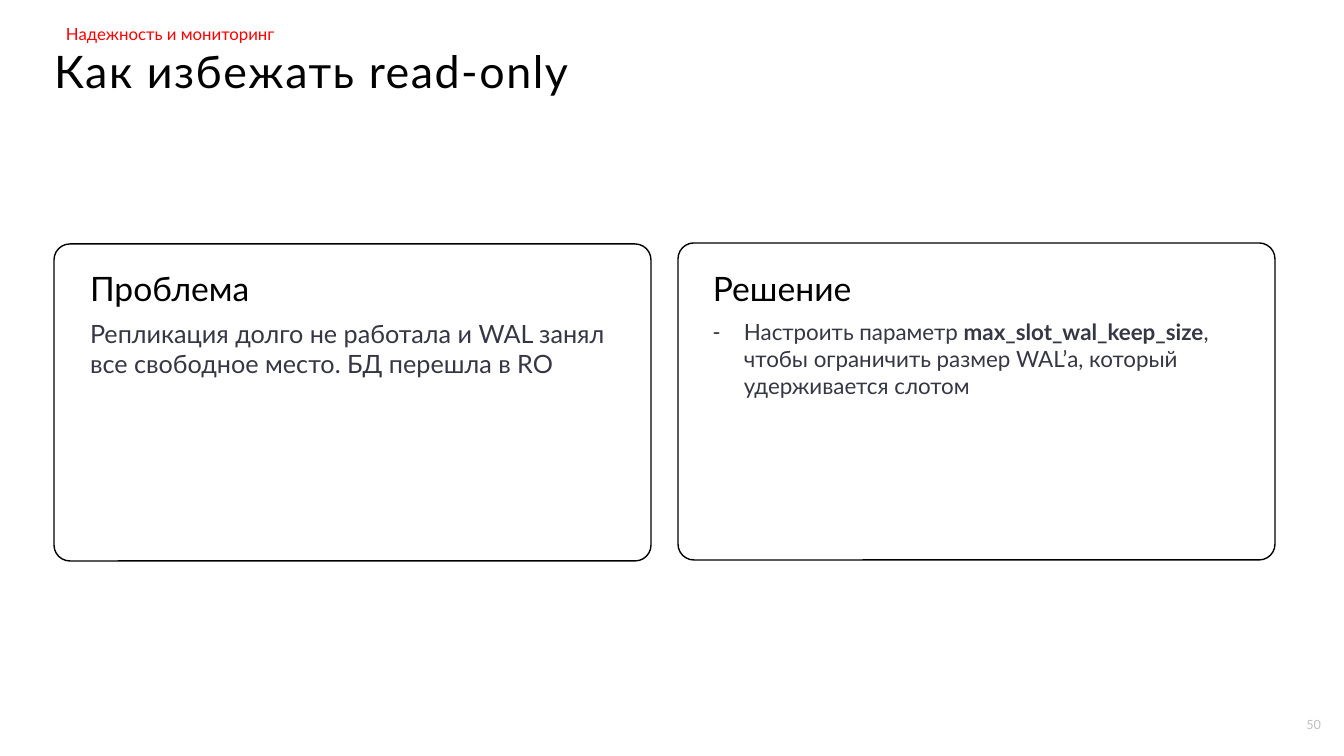
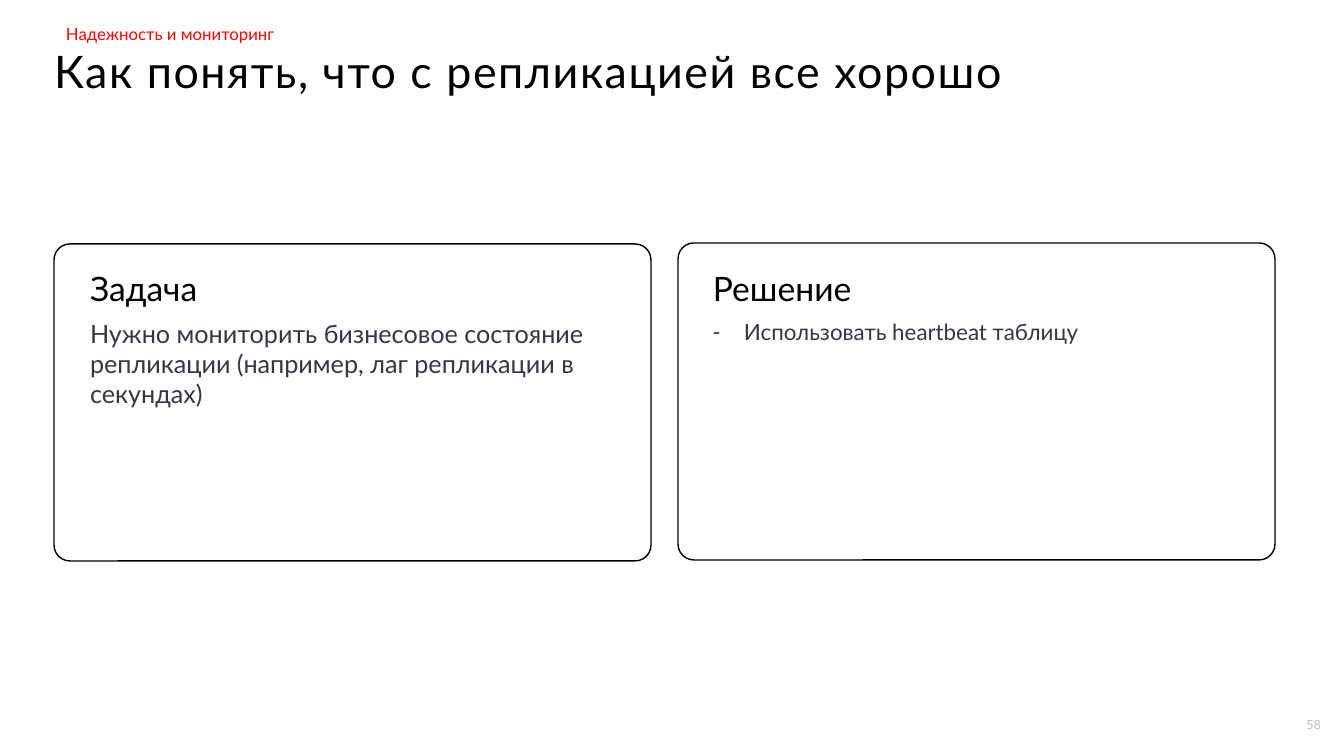
import dataclasses
import pptx
import pptx.util
import pptx.dml.color
import pptx.enum.shapes
import pptx.enum.text
import lxml.etree

# Content: text parts alternate between plain and bold
TAG = "Надежность и мониторинг"
SLIDES = [
    dict(
        title="Как избежать read-only",
        page="50",
        cards=[
            ("Проблема", ["Репликация долго не работала и WAL занял все "
                          "свободное место. БД перешла в RO"]),
            ("Решение", ["Настроить параметр ", "max_slot_wal_keep_size",
                         ", чтобы ограничить размер WAL’а, который "
                         "удерживается слотом"]),
        ],
    ),
    dict(
        title="Как понять, что с репликацией все хорошо",
        page="58",
        cards=[
            ("Задача", ["Нужно мониторить бизнесовое состояние репликации "
                        "(например, лаг репликации в секундах)"]),
            ("Решение", ["Использовать heartbeat таблицу"]),
        ],
    ),
]


@dataclasses.dataclass(frozen=True)
class Theme:
    font: str = "Lato"
    ink: str = "000000"
    body: str = "363744"
    accent: str = "FF0000"
    muted: str = "BFBFBF"
    paper: str = "FFFFFF"
    title_size: int = 32
    head_size: int = 24
    text_size: int = 18
    list_size: int = 16
    tag_size: int = 12
    page_size: int = 9


THEME = Theme()
ALIGN = pptx.enum.text.PP_ALIGN
ANCHOR = pptx.enum.text.MSO_ANCHOR

# Layout in px: left, top, width, height
WIDE, HIGH = 1344, 756
TITLE_BOX = (54, 50, 1186, 39)
TAG_BOX = (56, 18, 1186, 32)
PAGE_BOX = (1265, 717, 56, 20)
# Card box, text left edge, body width, body size, is a list
CARDS = [
    ((54, 244, 597, 317), 90, 523, THEME.text_size, False),
    ((678, 243, 597, 317), 713, 553, THEME.list_size, True),
]
HEAD_TOP, HEAD_WIDE, HEAD_HIGH = 275, 411, 33
BODY_TOP, BODY_HIGH = 318, 98
INDENT = 31


def px(n):
    return round(n * 914400 / 100.8)


def color(code):
    return pptx.dml.color.RGBColor.from_string(code)


def place(shape, box):
    shape.left, shape.top, shape.width, shape.height = map(px, box)


def write(shape, parts, size, ink, align=ALIGN.LEFT, anchor=ANCHOR.TOP, pad=0):
    """Fill a shape with one paragraph and return it."""
    frame = shape.text_frame
    frame.word_wrap = True
    frame.auto_size = pptx.enum.text.MSO_AUTO_SIZE.NONE
    frame.vertical_anchor = anchor
    frame.margin_left = frame.margin_right = px(pad)
    frame.margin_top = frame.margin_bottom = 0
    para = frame.paragraphs[0]
    para.alignment = align
    para.space_before = pptx.util.Pt(0)
    for i, part in enumerate(parts):
        run = para.add_run()
        run.text = part
        run.font.name = THEME.font
        run.font.size = pptx.util.Pt(size)
        run.font.bold = i % 2 == 1
        run.font.color.rgb = color(ink)
    return para


def mark(para, dash):
    """Give a paragraph a dash with a hanging indent, or no bullet."""
    props = para._p.get_or_add_pPr()
    step = px(INDENT) if dash else 0
    props.set("marL", str(step))
    props.set("indent", str(-step))
    name = "a:buChar" if dash else "a:buNone"
    item = lxml.etree.SubElement(props, pptx.oxml.ns.qn(name))
    if dash:
        item.set("char", "-")


def add_card(slide, box):
    card = slide.shapes.add_shape(
        pptx.enum.shapes.MSO_SHAPE.ROUNDED_RECTANGLE, *map(px, box))
    card.adjustments[0] = 0.05
    card.shadow.inherit = False
    card.fill.solid()
    card.fill.fore_color.rgb = color(THEME.paper)
    card.line.color.rgb = color(THEME.ink)
    card.line.width = pptx.util.Pt(1)
    # Send behind the placeholders
    card.element.getparent().insert(2, card.element)


def add_frame(slide, title, page):
    """Draw the title, section tag and page number."""
    head = slide.shapes.title
    place(head, TITLE_BOX)
    para = write(head, [title], THEME.title_size, THEME.ink)
    para.line_spacing = 0.9
    para.runs[0].font._element.set("spc", "110")
    tag = slide.shapes.add_textbox(*map(px, TAG_BOX))
    write(tag, [TAG], THEME.tag_size, THEME.accent,
          anchor=ANCHOR.MIDDLE, pad=10)
    foot = slide.shapes.add_textbox(*map(px, PAGE_BOX))
    write(foot, [page], THEME.page_size, THEME.muted, align=ALIGN.RIGHT)


def build(deck, data):
    # Comparison layout: a heading and a body for each card
    slide = deck.slides.add_slide(deck.slide_layouts[4])
    add_frame(slide, data["title"], data["page"])
    for i, (spot, texts) in enumerate(zip(CARDS, data["cards"])):
        box, left, wide, size, dash = spot
        name, parts = texts
        add_card(slide, box)
        head = slide.placeholders[2 * i + 1]
        body = slide.placeholders[2 * i + 2]
        place(head, (left, HEAD_TOP, HEAD_WIDE, HEAD_HIGH))
        place(body, (left, BODY_TOP, wide, BODY_HIGH))
        write(head, [name], THEME.head_size, THEME.ink, anchor=ANCHOR.BOTTOM)
        mark(write(body, parts, size, THEME.body), dash)


def main():
    deck = pptx.Presentation()
    deck.slide_width, deck.slide_height = px(WIDE), px(HIGH)
    for data in SLIDES:
        build(deck, data)
    deck.save("out.pptx")


if __name__ == "__main__":
    main()
